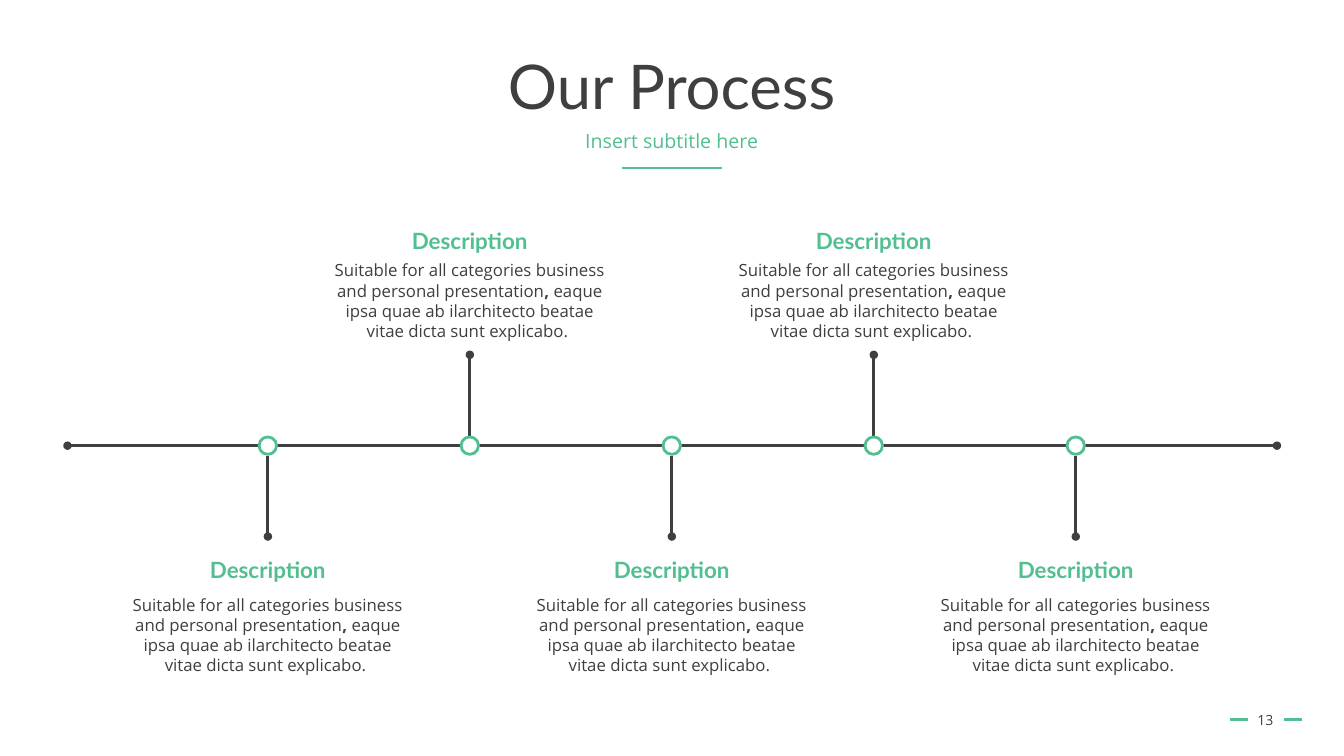
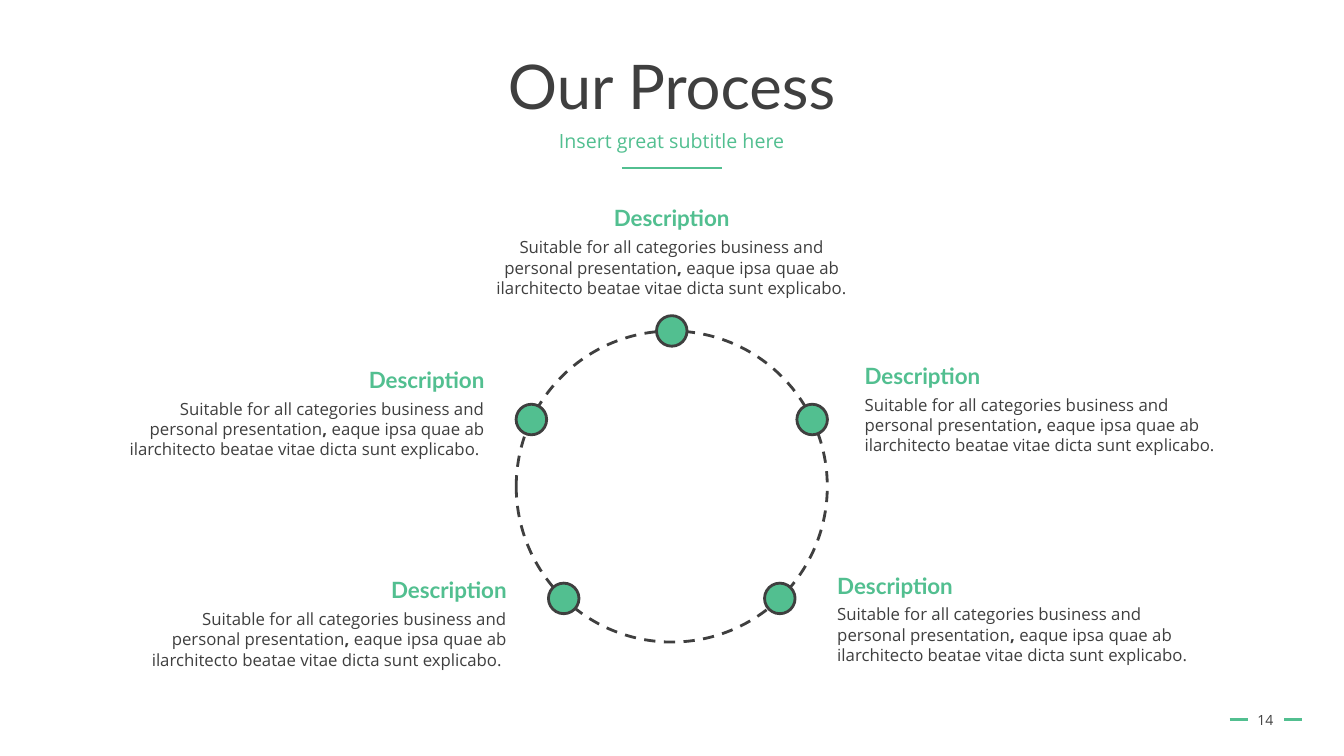
from math import cos, radians, sin

from lxml.etree import SubElement
from pptx import Presentation
from pptx.dml.color import RGBColor
from pptx.enum.dml import MSO_LINE
from pptx.enum.shapes import MSO_CONNECTOR, MSO_SHAPE
from pptx.enum.text import MSO_ANCHOR, PP_ALIGN
from pptx.oxml.ns import qn
from pptx.util import Cm, Pt

GREEN, DARK, WHITE = "52BF90", "3F3F3F", "FFFFFF"
LEFT, CENTER, RIGHT = PP_ALIGN.LEFT, PP_ALIGN.CENTER, PP_ALIGN.RIGHT
SHIFT = {LEFT: 0, CENTER: 0.5, RIGHT: 1}
MID_X = 16.93

TITLE = {"name": "Lato", "size": Pt(44), "color": DARK}
SUBTITLE = {"name": "Open Sans", "size": Pt(14), "color": GREEN}
NUMBER = {"name": "Open Sans", "size": Pt(10), "color": DARK}
HEADING = {"name": "Lato", "size": Pt(16), "bold": True, "color": GREEN}
BODY = {"name": "Open Sans", "size": Pt(12), "color": DARK}

BODY_TEXT = [
    ("Suitable for all categories business and personal presentation", False),
    (",", True),
    (" eaque ipsa quae ab ilarchitecto beatae vitae dicta sunt explicabo. ", False),
]

# Lines shared by both slides: x1, y1, x2, y2, colour, width, oval ends
RULES = [
    (15.67, 4.24, 18.19, 4.24, GREEN, 1.75, ()),
    (30.99, 18.13, 31.45, 18.13, GREEN, 1.75, ()),
    (32.36, 18.13, 32.8, 18.13, GREEN, 1.75, ()),
]


def rgb(hex_color):
    return RGBColor.from_string(hex_color)


def add_text(s, x, y, w, h, runs, fmt, align=CENTER, anchor=MSO_ANCHOR.TOP, spacing=1.0):
    """Add a text box whose left, centre or right edge (by align) lies at x."""
    tb = s.shapes.add_textbox(Cm(x - w * SHIFT[align]), Cm(y), Cm(w), Cm(h))
    tf = tb.text_frame
    tf.word_wrap = True
    tf.vertical_anchor = anchor
    p = tf.paragraphs[0]
    p.alignment = align
    p.line_spacing = spacing
    for text, bold in runs:
        r = p.add_run()
        r.text = text
        for key, value in ({"bold": bold} | fmt).items():
            if key == "color":
                r.font.color.rgb = rgb(value)
            else:
                setattr(r.font, key, value)


# Timeline: steps alternate below and above the spine
spine_y = 11.23
timeline_lines = [(1.7, spine_y, 32.18, spine_y, DARK, 2, ("headEnd", "tailEnd"))]
timeline_circles, timeline_captions = [], []
for i in range(5):
    x = MID_X + (i - 2) * 5.09
    side = 1 if i % 2 == 0 else -1
    timeline_lines.append((x, spine_y + side * 0.25, x, spine_y + side * 2.29,
                           DARK, 2, ("tailEnd",)))
    timeline_circles.append((x, spine_y, 0.44, WHITE, GREEN, None))
    top, gap = (13.89, 0.97) if side == 1 else (5.61, 0.82)
    timeline_captions.append((x, top, gap, 7.42, CENTER))

# Cycle: dots sit on a dashed ring, angles run clockwise from the top
ring_y, radius = 12.26, 3.92
cycle_circles = [(MID_X, ring_y, 2 * radius, None, DARK, MSO_LINE.DASH)]
for angle in (0, 64.5, 136, 224, 295.5):
    cycle_circles.append((MID_X + radius * sin(radians(angle)),
                          ring_y - radius * cos(radians(angle)),
                          0.77, GREEN, DARK, None))
cycle_captions = [
    (MID_X, 5.03, 0.82, 9.35, CENTER),
    (21.54, 8.99, 0.82, 9.6, LEFT),
    (20.85, 14.28, 0.82, 9.6, LEFT),
    (12.46, 9.1, 0.82, 9.68, RIGHT),
    (13.02, 14.4, 0.82, 9.68, RIGHT),
]

pages = [
    ("13", "Insert subtitle here", timeline_lines, timeline_circles, timeline_captions),
    ("14", "Insert great subtitle here", [], cycle_circles, cycle_captions),
]

prs = Presentation()
prs.slide_width, prs.slide_height = Cm(33.87), Cm(19.05)

for number, subtitle, lines, circles, captions in pages:
    s = prs.slides.add_slide(prs.slide_layouts[6])
    add_text(s, MID_X, 1.02, 29.21, 2.49, [("Our Process", False)], TITLE,
             anchor=MSO_ANCHOR.MIDDLE, spacing=0.9)
    add_text(s, MID_X, 3.2, 29.21, 1.02, [(subtitle, False)], SUBTITLE, spacing=0.9)
    add_text(s, 31.89, 17.63, 1.5, 1.02, [(number, False)], NUMBER,
             anchor=MSO_ANCHOR.MIDDLE)

    for x1, y1, x2, y2, color, width, ovals in RULES + lines:
        cn = s.shapes.add_connector(MSO_CONNECTOR.STRAIGHT, Cm(x1), Cm(y1), Cm(x2), Cm(y2))
        cn.line.color.rgb = rgb(color)
        cn.line.width = Pt(width)
        sp_pr = cn._element.spPr
        for end in ovals:
            SubElement(sp_pr.find(qn("a:ln")), qn(f"a:{end}"), type="oval")
        SubElement(sp_pr, qn("a:effectLst"))

    for x, y, size, fill, color, dash in circles:
        sp = s.shapes.add_shape(MSO_SHAPE.OVAL, Cm(x - size / 2), Cm(y - size / 2),
                                Cm(size), Cm(size))
        sp.shadow.inherit = False
        if fill:
            sp.fill.solid()
            sp.fill.fore_color.rgb = rgb(fill)
        else:
            sp.fill.background()
        sp.line.color.rgb = rgb(color)
        sp.line.width = Pt(2)
        if dash:
            sp.line.dash_style = dash

    for x, top, gap, width, align in captions:
        add_text(s, x, top, 5.79, 0.94, [("Description", True)], HEADING, align)
        add_text(s, x, top + gap, width, 2.31, BODY_TEXT, BODY, align)

prs.save("out.pptx")
